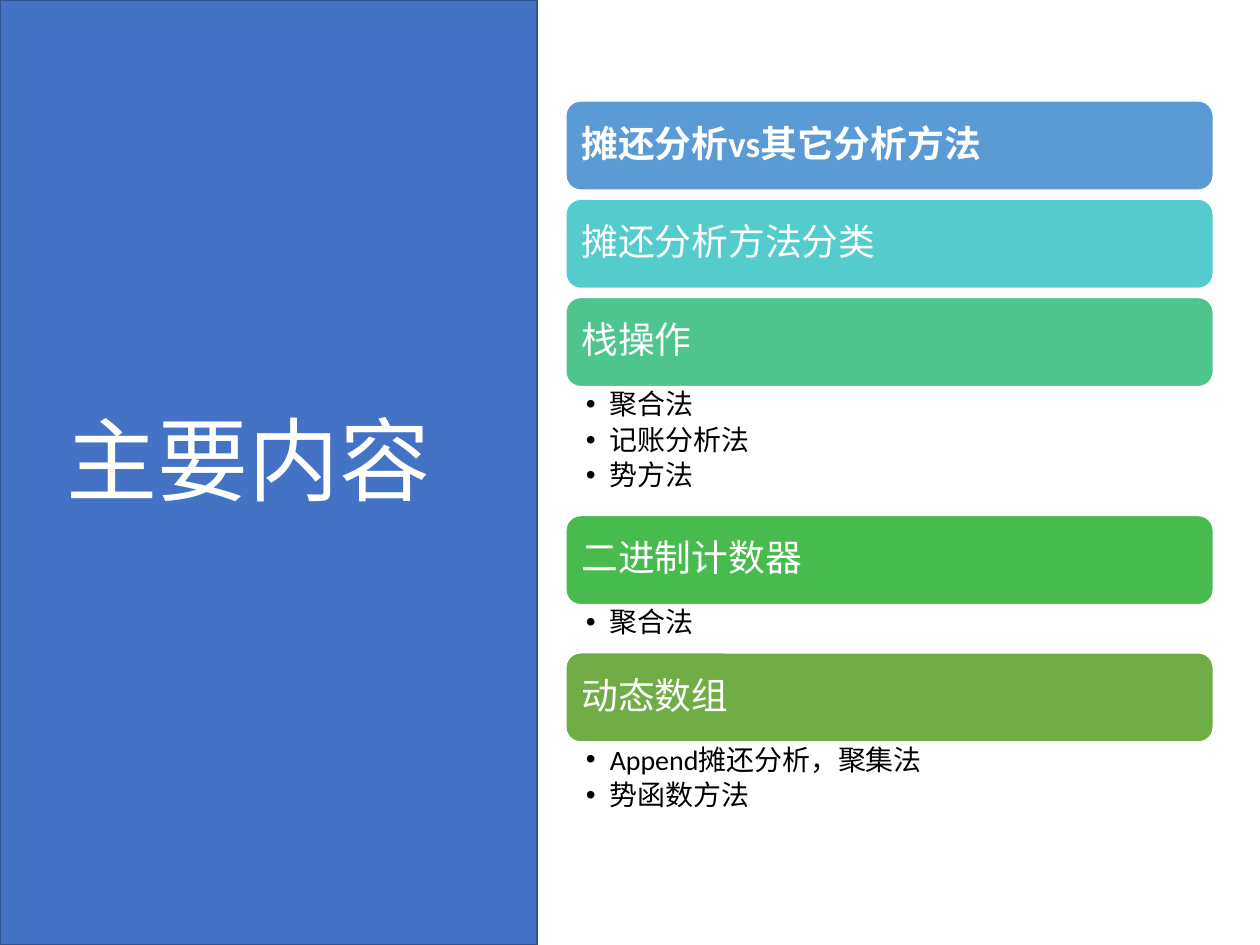
from lxml.etree import SubElement
from pptx import Presentation
from pptx.dml.color import RGBColor
from pptx.enum.shapes import MSO_SHAPE
from pptx.enum.text import MSO_ANCHOR, PP_ALIGN
from pptx.oxml.ns import qn
from pptx.util import Inches, Pt

WIDTH, HEIGHT = 10, 7.5
COLUMN_LEFT, COLUMN_WIDTH = 4.49, 5.14
FIRST_TOP, BAR_HEIGHT, BAR_GAP = 0.8, 0.71, 0.07
HANGING = 0.19

TOPICS = [
    ("摊还分析vs其它分析方法", "5B9BD5", True, [], BAR_GAP),
    ("摊还分析方法分类", "54CCCD", False, [], BAR_GAP),
    ("栈操作", "4DC58D", False, ["聚合法", "记账分析法", "势方法"], 1.02),
    ("二进制计数器", "48BB4F", False, ["聚合法"], 0.38),
    ("动态数组", "70AD47", False, ["Append摊还分析，聚集法", "势函数方法"], 0.68),
]


def rgb(hex_code):
    """Turn a hex string into a colour."""
    return RGBColor.from_string(hex_code)


def box(left, top, width, height):
    """Convert four lengths in inches."""
    return [Inches(length) for length in (left, top, width, height)]


def set_frame(frame, side, edge, anchor):
    """Set the wrapping, insets and anchor of a text frame."""
    frame.word_wrap = True
    frame.margin_left = frame.margin_right = Inches(side)
    frame.margin_top = frame.margin_bottom = Inches(edge)
    frame.vertical_anchor = anchor


def write(paragraph, wording, size, color, bold=False):
    """Add one formatted run to a paragraph."""
    paragraph.alignment = PP_ALIGN.LEFT
    paragraph.line_spacing = 0.9
    run = paragraph.add_run()
    run.text = wording
    run.font.name = "Calibri"
    run.font.size = Pt(size)
    run.font.bold = bold
    run.font.color.rgb = rgb(color)


def add_block(slide, preset, bounds, fill, line):
    """Add a filled and outlined preset shape."""
    block = slide.shapes.add_shape(preset, *box(*bounds))
    block.shadow.inherit = False
    block.fill.solid()
    block.fill.fore_color.rgb = rgb(fill)
    block.line.color.rgb = rgb(line)
    block.line.width = Pt(1)
    return block


def add_bar(slide, top, topic, fill, bold):
    """Add the rounded bar of one topic."""
    bounds = (COLUMN_LEFT, top, COLUMN_WIDTH, BAR_HEIGHT)
    bar = add_block(slide, MSO_SHAPE.ROUNDED_RECTANGLE, bounds, fill, "FFFFFF")
    set_frame(bar.text_frame, 0.09, 0.09, MSO_ANCHOR.MIDDLE)
    write(bar.text_frame.paragraphs[0], topic, 21, "FFFFFF", bold)


def add_bullets(slide, top, height, methods):
    """Add the bulleted methods below a bar."""
    bounds = box(COLUMN_LEFT, top, COLUMN_WIDTH, height)
    frame = slide.shapes.add_textbox(*bounds).text_frame
    set_frame(frame, 0.16, 0.03, MSO_ANCHOR.TOP)
    for index, method in enumerate(methods):
        paragraph = frame.add_paragraph() if index else frame.paragraphs[0]
        paragraph.level = 1
        paragraph.space_after = Pt(3)
        write(paragraph, method, 16, "000000")
        properties = paragraph._p.get_or_add_pPr()
        properties.set("marL", str(Inches(HANGING)))
        properties.set("indent", str(-Inches(HANGING)))
        SubElement(properties, qn("a:buFont")).set("typeface", "Arial")
        SubElement(properties, qn("a:buChar")).set("char", "•")


def add_title_panel(slide):
    """Put the title on a full-height panel behind it."""
    panel = add_block(slide, MSO_SHAPE.RECTANGLE, (0, 0, 4.26, HEIGHT), "4472C4", "325491")
    title = slide.shapes.title
    title._element.addprevious(panel._element)
    title.left, title.top, title.width, title.height = box(0.43, 0.68, 3.12, 6.02)
    set_frame(title.text_frame, 0.1, 0.05, MSO_ANCHOR.MIDDLE)
    write(title.text_frame.paragraphs[0], "主要内容", 52, "FFFFFF")


def main():
    """Build the contents slide."""
    deck = Presentation()
    deck.slide_width, deck.slide_height = Inches(WIDTH), Inches(HEIGHT)
    slide = deck.slides.add_slide(deck.slide_layouts[5])
    add_title_panel(slide)
    top = FIRST_TOP
    for topic, fill, bold, methods, space_below in TOPICS:
        add_bar(slide, top, topic, fill, bold)
        top += BAR_HEIGHT
        if methods:
            add_bullets(slide, top, space_below, methods)
        top += space_below
    deck.save("out.pptx")


if __name__ == "__main__":
    main()
